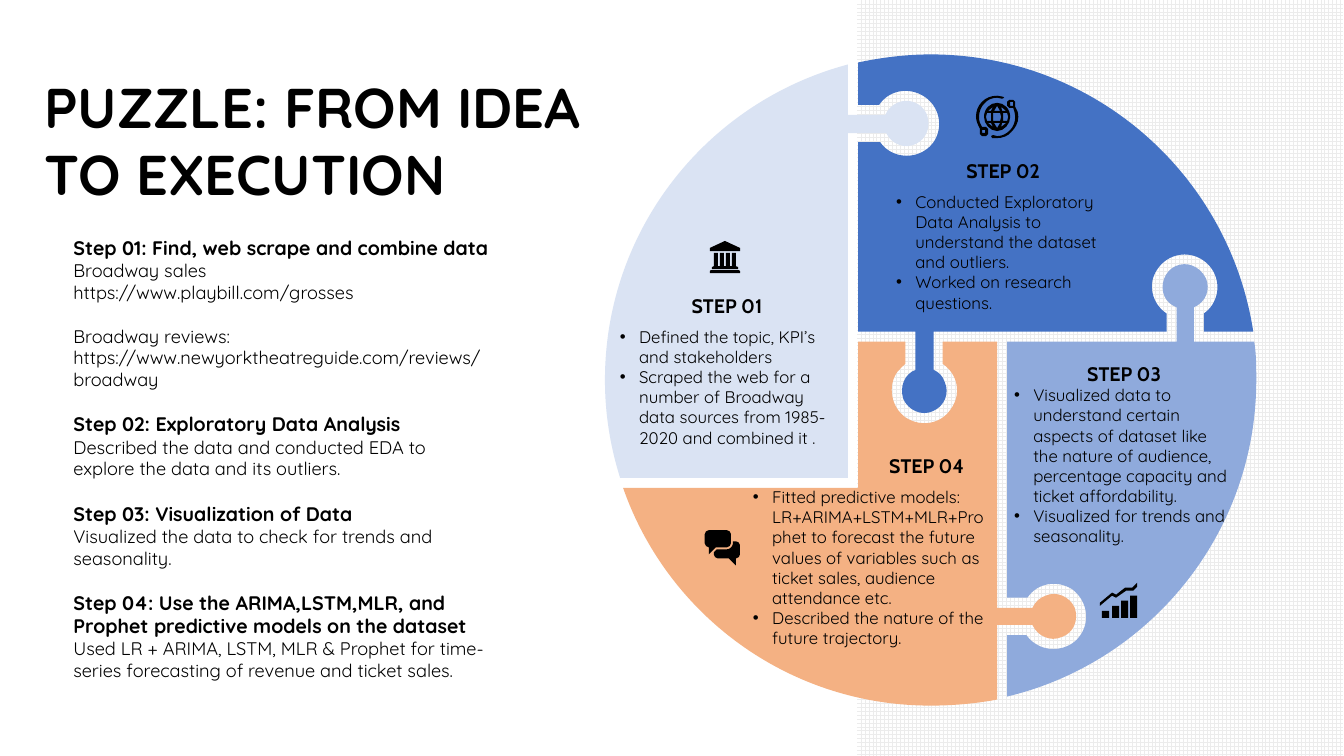
import dataclasses

import lxml.etree
import pptx
import pptx.dml.color
import pptx.enum.dml
import pptx.enum.shapes
import pptx.enum.text
import pptx.oxml.ns
import pptx.util

Inches = pptx.util.Inches
qn = pptx.oxml.ns.qn


@dataclasses.dataclass(frozen=True)
class Theme:
    ink: str = "000000"
    paper: str = "FFFFFF"
    grid: str = "ECECEC"
    pale: str = "DAE3F3"
    orange: str = "F4B183"
    light_blue: str = "8FAADC"
    blue: str = "4472C4"
    body_font: str = "Quicksand"
    step_font: str = "Cabin"
    title_size: float = 40
    heading_size: float = 14
    detail_size: float = 13
    bullet_size: float = 12
    section_gap: float = 15.6


theme = Theme()
rgb = pptx.dml.color.RGBColor.from_string

deck = pptx.Presentation()
deck.slide_width, deck.slide_height = Inches(13.33), Inches(7.5)
slide = deck.slides.add_slide(deck.slide_layouts[6])


def write(text, box=None, frame=None, size=theme.bullet_size, font=theme.body_font,
          bold=False, centred=False, bullet=False, gap=0):
    """Add one paragraph to frame, or to a new text box at box; return the frame."""
    if frame is None:
        frame = slide.shapes.add_textbox(*map(Inches, box)).text_frame
        frame.word_wrap = True
        frame.auto_size = pptx.enum.text.MSO_AUTO_SIZE.SHAPE_TO_FIT_TEXT
        paragraph = frame.paragraphs[0]
    else:
        paragraph = frame.add_paragraph()
    if bullet:
        properties = paragraph._p.get_or_add_pPr()
        properties.set("marL", str(Inches(0.19)))
        properties.set("indent", str(Inches(-0.19)))
        lxml.etree.SubElement(properties, qn("a:buFont"), typeface="Arial")
        lxml.etree.SubElement(properties, qn("a:buChar"), char="•")
    if centred:
        paragraph.alignment = pptx.enum.text.PP_ALIGN.CENTER
    if gap:
        paragraph.space_before = pptx.util.Pt(gap)
    run = paragraph.add_run()
    run.text = text
    run.font.name, run.font.size, run.font.bold = font, pptx.util.Pt(size), bold
    run.font.color.rgb = rgb(theme.ink)
    return frame


def outline(colour, *contours):
    """Fill closed contours; a pair of numbers is a line, six are a cubic curve."""
    builder, segments = None, []
    for contour in contours:
        start, *rest = [[Inches(float(n)) for n in part.split(",")] for part in contour.split()]
        if builder is None:
            builder = slide.shapes.build_freeform(*start)
        else:
            builder.move_to(*start)
        builder.add_line_segments([segment[-2:] for segment in rest], close=True)
        segments += rest
    shape = builder.convert_to_shape()
    for line, segment in zip(list(shape._element.iter(qn("a:lnTo"))), segments):
        if len(segment) == 6:
            line.tag = qn("a:cubicBezTo")
            for place in (0, 1):
                x, y = segment[2 * place:2 * place + 2]
                handle = lxml.etree.Element(qn("a:pt"), x=str(x - builder.shape_offset_x),
                                            y=str(y - builder.shape_offset_y))
                line.insert(place, handle)
    shape.shadow.inherit = False
    shape.fill.solid()
    shape.fill.fore_color.rgb = rgb(colour)
    shape.line.fill.background()


RECTANGLE = pptx.enum.shapes.MSO_SHAPE.RECTANGLE
backdrop = slide.shapes.add_shape(RECTANGLE, Inches(8.5), 0, Inches(4.82), Inches(7.5))
backdrop.shadow.inherit = False
backdrop.fill.patterned()
backdrop.fill.pattern = pptx.enum.dml.MSO_PATTERN.LARGE_GRID
backdrop.fill.fore_color.rgb = rgb(theme.grid)
backdrop.fill.back_color.rgb = rgb(theme.paper)
backdrop.line.fill.background()

write("PUZZLE: FROM IDEA TO EXECUTION", box=(0.34, 0.67, 6.12, 1.45),
      size=theme.title_size, bold=True)

# Left column: each section has a heading and its details
sections = [
    ("Step 01: Find, web scrape and combine data",
     ["Broadway sales", "https://www.playbill.com/grosses", "Broadway reviews:",
      "https://www.newyorktheatreguide.com/reviews/broadway"]),
    ("Step 02: Exploratory Data Analysis",
     ["Described the data and conducted EDA to explore the data and its outliers."]),
    ("Step 03: Visualization of Data",
     ["Visualized the data to check for trends and seasonality."]),
    ("Step 04: Use the ARIMA,LSTM,MLR, and Prophet predictive models on the dataset",
     ["Used LR + ARIMA, LSTM, MLR & Prophet for time-series forecasting of revenue "
      "and ticket sales."]),
]
summary = None
for heading, details in sections:
    summary = write(heading, box=(0.63, 2.29, 4.34, 4.55), frame=summary, bold=True,
                    size=theme.heading_size, gap=theme.section_gap if summary else 0)
    for detail in details:
        write(detail, frame=summary, size=theme.detail_size,
              gap=theme.section_gap if detail == "Broadway reviews:" else 0)

# Puzzle pieces
outline(theme.pale,
        "8.41,4.74 8.41,1.32 8.79,1.32 8.84,1.43,8.97,1.48,9.08,1.43 "
        "9.19,1.38,9.24,1.25,9.19,1.13 9.14,1.02,9.01,0.97,8.9,1.02 "
        "8.85,1.04,8.8,1.09,8.78,1.14 8.41,1.14 8.41,0.64 "
        "7.02,1.01,6,2.27,6,3.77 6,4.1,6.05,4.42,6.15,4.74")
outline(theme.orange,
        "9.89,6.2 10.24,6.2 10.29,6.31,10.42,6.37,10.53,6.32 "
        "10.65,6.28,10.7,6.15,10.66,6.03 10.61,5.92,10.48,5.86,10.37,5.91 "
        "10.31,5.93,10.27,5.97,10.24,6.03 9.89,6.03 9.89,3.39 9.35,3.39 9.35,3.61 "
        "9.5,3.71,9.54,3.91,9.43,4.06 9.33,4.21,9.13,4.24,8.98,4.14 "
        "8.84,4.04,8.8,3.83,8.9,3.69 8.93,3.66,8.95,3.63,8.98,3.61 8.98,3.39 "
        "8.51,3.39 8.51,4.84 6.18,4.84 6.62,6.1,7.82,7,9.23,7 9.45,7,9.68,6.98,9.89,6.94")
outline(theme.light_blue,
        "11.84,3.39 11.84,3.05 11.96,3,12.01,2.87,11.96,2.76 "
        "11.9,2.64,11.77,2.59,11.66,2.64 11.55,2.69,11.5,2.83,11.55,2.94 "
        "11.57,2.99,11.62,3.03,11.67,3.05 11.67,3.39 9.99,3.39 9.99,5.93 10.19,5.93 "
        "10.29,5.78,10.49,5.75,10.64,5.85 10.78,5.96,10.82,6.16,10.71,6.31 "
        "10.61,6.45,10.4,6.48,10.26,6.38 10.23,6.36,10.2,6.33,10.18,6.3 9.99,6.3 "
        "9.99,6.91 11.41,6.57,12.46,5.29,12.46,3.77 12.46,3.64,12.46,3.51,12.44,3.39")
outline(theme.blue,
        "8.51,1.04 8.72,1.04 8.82,0.89,9.02,0.86,9.17,0.96 "
        "9.32,1.06,9.36,1.26,9.26,1.41 9.16,1.55,8.96,1.59,8.81,1.49 "
        "8.78,1.47,8.75,1.44,8.73,1.41 8.51,1.41 8.51,3.29 9.08,3.29 9.08,3.67 "
        "8.97,3.71,8.92,3.84,8.96,3.96 9.01,4.07,9.14,4.13,9.25,4.08 "
        "9.37,4.03,9.42,3.9,9.37,3.79 9.35,3.73,9.31,3.69,9.26,3.67 9.26,3.29 "
        "11.57,3.29 11.57,3.11 11.42,3.01,11.38,2.81,11.48,2.67 "
        "11.58,2.52,11.78,2.48,11.93,2.58 12.08,2.68,12.12,2.88,12.02,3.03 "
        "12,3.06,11.97,3.09,11.94,3.11 11.94,3.29 12.43,3.29 "
        "12.19,1.73,10.85,0.54,9.23,0.54 8.99,0.54,8.75,0.57,8.51,0.62")

steps = [
    ("STEP 01", (6.3, 2.87), (6.05, 3.19, 2.32, 1.51),
     ["Defined the topic, KPI’s and stakeholders",
      "Scraped the web for a number of Broadway data sources from 1985-2020 and combined it ."]),
    ("STEP 02", (9.04, 1.53), (8.79, 1.85, 2.32, 1.31),
     ["Conducted Exploratory Data Analysis to understand the dataset and outliers.",
      "Worked on research questions."]),
    ("STEP 03", (10.24, 3.54), (9.96, 3.77, 2.32, 1.92),
     ["Visualized data to understand certain aspects of dataset like the nature of "
      "audience, percentage capacity and ticket affordability.",
      "Visualized for trends and seasonality."]),
    ("STEP 04", (8.28, 4.45), (7.37, 4.78, 2.5, 1.92),
     ["Fitted predictive models: LR+ARIMA+LSTM+MLR+Prophet to forecast the future values "
      "of variables such as ticket sales, audience attendance etc.",
      "Described the nature of the future trajectory."]),
]
for label, corner, box, notes in steps:
    write(label, box=(*corner, 1.82, 0.34), size=theme.heading_size,
          font=theme.step_font, bold=True, centred=True)
    step_notes = None
    for note in notes:
        step_notes = write(note, box=box, frame=step_notes, bullet=True)

# Speech bubbles
outline(theme.ink,
        "7.3,5.37 7.27,5.37 7.27,5.39 7.27,5.42,7.24,5.45,7.21,5.45 7.11,5.45 7.08,5.48 "
        "7.08,5.5 7.08,5.52,7.1,5.54,7.12,5.54 7.23,5.54 7.3,5.61 7.3,5.54 "
        "7.32,5.54,7.34,5.52,7.34,5.5 7.34,5.41 7.34,5.39,7.32,5.37,7.3,5.37")
outline(theme.ink,
        "7.1,5.43 7.21,5.43 7.23,5.43,7.25,5.41,7.25,5.39 7.25,5.3 "
        "7.25,5.28,7.23,5.26,7.21,5.26 7.03,5.26 7.01,5.26,6.99,5.28,6.99,5.3 "
        "6.99,5.39 6.99,5.41,7.01,5.43,7.03,5.43 7.03,5.5")

# Rising bars under a trend line
for left, top in zip((10.93, 11.03, 11.12, 11.21), (6.06, 6.01, 5.96, 5.91)):
    bar = slide.shapes.add_shape(RECTANGLE, Inches(left), Inches(top),
                                 Inches(0.07), Inches(6.13 - top))
    bar.shadow.inherit = False
    bar.fill.solid()
    bar.fill.fore_color.rgb = rgb(theme.ink)
    bar.line.fill.background()
outline(theme.ink,
        "11.23,5.83 11.16,5.83 11.07,5.9 11.03,5.88 10.91,5.98 10.91,6.01 11.03,5.91 "
        "11.07,5.93 11.17,5.86 11.24,5.86 11.28,5.82 11.28,5.78")

# Museum: roof, base and columns
outline(theme.ink,
        "7.34,2.46 7.34,2.49 7.04,2.49 7.04,2.46 7.19,2.39",
        "7.34,2.69 7.34,2.71 7.04,2.71 7.04,2.69 7.05,2.68 7.33,2.68",
        "7.12,2.51 7.12,2.64 7.14,2.64 7.14,2.51 7.18,2.51 7.18,2.64 7.2,2.64 7.2,2.51 "
        "7.24,2.51 7.24,2.64 7.26,2.64 7.26,2.51 7.3,2.51 7.3,2.64 7.32,2.65 "
        "7.32,2.67 7.06,2.67 7.06,2.65 7.08,2.64 7.08,2.51")

# Globe with two orbits
outline(theme.ink,
        "9.98,1.1 9.94,1.1 9.93,1.06",
        "9.93,1.26 9.94,1.22 9.98,1.22",
        "9.8,1.22 9.83,1.22 9.85,1.26",
        "9.85,1.06 9.83,1.1 9.8,1.1",
        "9.78,1.16 9.79,1.12 9.83,1.12 9.83,1.2 9.79,1.2",
        "9.89,1.27 9.86,1.22 9.92,1.22",
        "9.93,1.16 9.92,1.2 9.85,1.2 9.85,1.12 9.92,1.12",
        "10,1.16 9.99,1.2 9.95,1.2 9.95,1.12 9.99,1.12",
        "9.92,1.1 9.86,1.1 9.89,1.05",
        "9.76,1.16 9.76,1.23,9.82,1.3,9.89,1.3 9.96,1.3,10.02,1.23,10.02,1.16 "
        "10.02,1.08,9.96,1.02,9.89,1.02 9.82,1.02,9.76,1.08,9.76,1.16")
outline(theme.ink,
        "10.02,1.01 10.05,1.01 10.05,1.05 10.02,1.05",
        "10.07,1.06 10.07,1.01 10.05,0.99 10.01,0.99 9.99,1.01 9.99,1.05 10.01,1.07 "
        "10.05,1.07 10.06,1.1,10.07,1.13,10.07,1.16 10.07,1.21,10.05,1.26,10.02,1.29 "
        "9.98,1.33,9.94,1.35,9.89,1.35 9.85,1.34 9.83,1.35 9.84,1.37 9.89,1.37 "
        "9.94,1.37,10,1.35,10.03,1.31 10.07,1.27,10.1,1.22,10.1,1.16 "
        "10.1,1.12,10.09,1.09,10.07,1.06")
outline(theme.ink,
        "9.77,1.32 9.74,1.32 9.74,1.29 9.77,1.29",
        "9.78,1.26 9.74,1.26 9.72,1.23,9.71,1.2,9.71,1.16 9.71,1.11,9.73,1.06,9.76,1.03 "
        "9.79,0.99,9.84,0.97,9.89,0.97 9.94,0.98 9.96,0.97 9.95,0.96 9.89,0.95 "
        "9.83,0.95,9.78,0.97,9.74,1.01 9.7,1.05,9.68,1.1,9.68,1.16 "
        "9.68,1.2,9.7,1.24,9.72,1.28 9.72,1.33 9.74,1.35 9.78,1.35 9.8,1.33 9.8,1.28")

deck.save("out.pptx")
